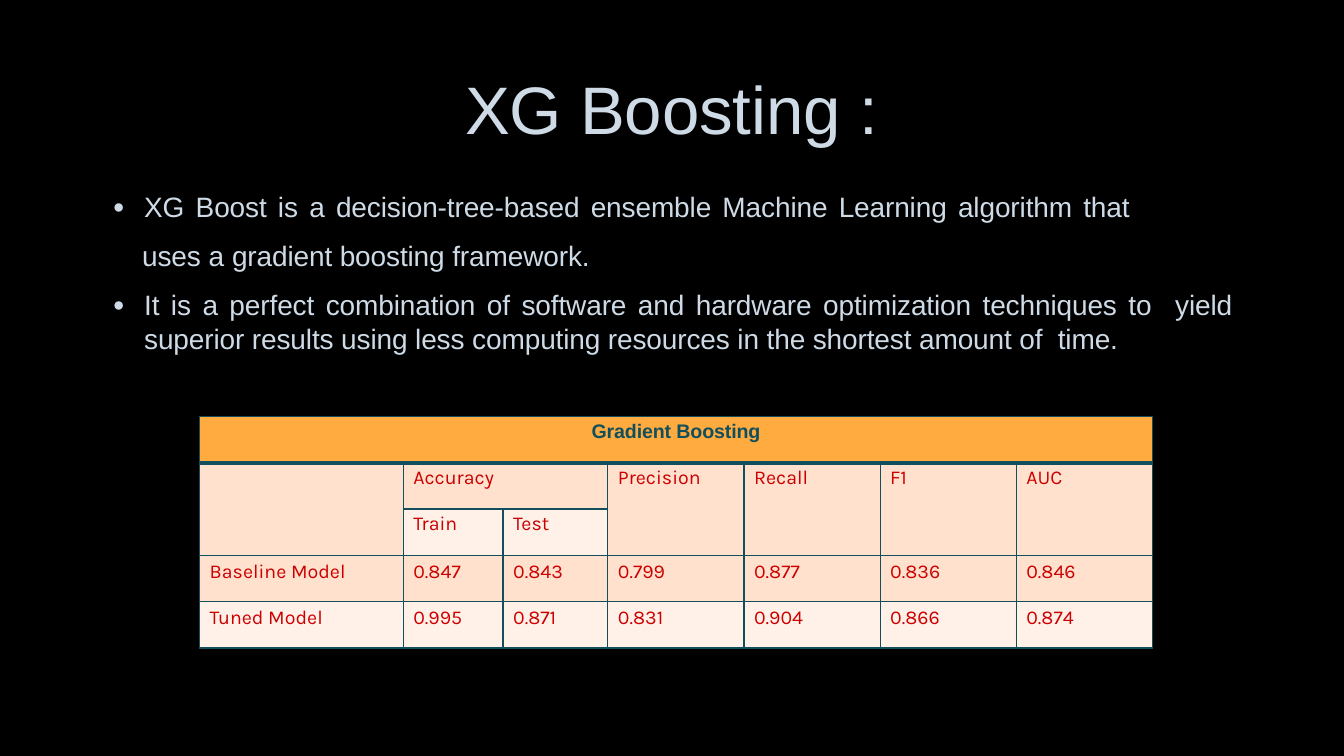
from dataclasses import dataclass

from lxml.etree import SubElement
from pptx import Presentation
from pptx.dml.color import RGBColor as RGB
from pptx.enum.text import MSO_ANCHOR as ANCHOR, PP_ALIGN as ALIGN
from pptx.oxml import parse_xml
from pptx.oxml.ns import nsdecls, qn
from pptx.util import Inches, Pt


@dataclass(frozen=True)
class Theme:
    """Colours, fonts and type sizes of the slide."""
    background: str = "000000"
    text: str = "CEDBE6"
    border: str = "124F5C"
    header: str = "FFAB40"
    band: str = "FFE1CE"
    light: str = "FFF0E8"
    value: str = "CC0000"
    sans: str = "Arial"
    table_font: str = "Karla"
    title_size: int = 48
    body_size: int = 20
    table_size: int = 14


THEME = Theme()
TIGHT = -0.1
WIDE = 2.4

LEAD = "XG Boost is a decision-tree-based ensemble Machine Learning algorithm that"
BULLETS = [
    (True, [part for word in LEAD.split() for part in ((" ", WIDE), (word, TIGHT))][1:]),
    (False, [("uses ", TIGHT), ("a ", 0), ("gradient boosting framework.", TIGHT)]),
    (True, [("It is a perfect combination of software and hardware optimization techniques ", TIGHT),
            ("to  ", 0),
            ("yield superior results using less computing resources in the shortest amount of  time.",
             TIGHT)]),
]
COLUMNS = [2.02, 0.99, 1.04] + [1.35] * 4
ROWS = [
    ["Gradient Boosting"] + [""] * 6,
    ["", "Accuracy", "", "Precision", "Recall", "F1", "AUC"],
    ["", "Train", "Test", "", "", "", ""],
    ["Baseline Model", "0.847", "0.843", "0.799", "0.877", "0.836", "0.846"],
    ["Tuned Model", "0.995", "0.871", "0.831", "0.904", "0.866", "0.874"],
]
ROW_FILLS = [THEME.header, THEME.band, THEME.light, THEME.band, THEME.light]
MERGES = [((0, 0), (0, 6)), ((1, 1), (1, 2))] + [((1, c), (2, c)) for c in (0, 3, 4, 5, 6)]


def place(sp, box):
    """Move a shape to a box given in inches."""
    sp.left, sp.top, sp.width, sp.height = map(Inches, box)


def add_run(p, text, size, color, font=THEME.sans, bold=False, spacing=0):
    """Append a formatted run to a paragraph."""
    r = p.add_run()
    r.text = text
    r.font.size, r.font.name, r.font.bold = Pt(size), font, bold
    r.font.color.rgb = RGB.from_string(color)
    r._r.get_or_add_rPr().set("spc", str(round(spacing * 100)))


def set_bullet(p, shown):
    """Set the indent and the round bullet of a paragraph."""
    pPr = p._p.get_or_add_pPr()
    pPr.set("marL", str(Inches(0.33 if shown else 0.31)))
    pPr.set("indent", str(Inches(-0.31 if shown else 0)))
    if not shown:
        SubElement(pPr, qn("a:buNone"))
        return
    color = SubElement(pPr, qn("a:buClr"))
    SubElement(color, qn("a:srgbClr"), val=THEME.text)
    SubElement(pPr, qn("a:buSzPct"), val="70000")
    SubElement(pPr, qn("a:buFont"), typeface=THEME.sans)
    SubElement(pPr, qn("a:buChar"), char="●")


def set_borders(cell, top, bottom):
    """Draw the four borders of a cell, with top and bottom widths in points."""
    tcPr = cell._tc.get_or_add_tcPr()
    for i, (side, width) in enumerate([("L", 1), ("R", 1), ("T", top), ("B", bottom)]):
        tcPr.insert(i, parse_xml(
            f'<a:ln{side} {nsdecls("a")} w="{Pt(width)}"><a:solidFill>'
            f'<a:srgbClr val="{THEME.border}"/></a:solidFill></a:ln{side}>'))


def fill_title(s, box):
    """Place and fill the title."""
    sp = s.shapes.title
    place(sp, box)
    tf = sp.text_frame
    tf.vertical_anchor = ANCHOR.MIDDLE
    p = tf.paragraphs[0]
    p.alignment, p.line_spacing = ALIGN.CENTER, 0.9
    for text, spacing in [("XG Boosting ", TIGHT), (":", 0)]:
        add_run(p, text, THEME.title_size, THEME.text, spacing=spacing)


def fill_body(s, box):
    """Place and fill the bullet list."""
    sp = s.placeholders[1]
    place(sp, box)
    tf = sp.text_frame
    tf.vertical_anchor, tf.word_wrap = ANCHOR.TOP, True
    for i, (bulleted, runs) in enumerate(BULLETS):
        p = tf.add_paragraph() if i else tf.paragraphs[0]
        set_bullet(p, bulleted)
        p.alignment = ALIGN.JUSTIFY
        p.space_before, p.space_after = Pt(5 if i else 0), Pt(6)
        for text, spacing in runs:
            add_run(p, text, THEME.body_size, THEME.text, spacing=spacing)


def add_scores(s, box):
    """Add the table of model scores."""
    frame = s.shapes.add_table(len(ROWS), len(COLUMNS), *map(Inches, box))
    table = frame.table
    table.first_row = table.horz_banding = False
    for column, width in zip(table.columns, COLUMNS):
        column.width = Inches(width)
    for row in table.rows:
        row.height = Inches(box[3] / len(ROWS))
    for start, end in MERGES:
        table.cell(*start).merge(table.cell(*end))
    for r, (texts, fill) in enumerate(zip(ROWS, ROW_FILLS)):
        for c, text in enumerate(texts):
            cell = table.cell(r, c)
            cell.fill.solid()
            cell.fill.fore_color.rgb = RGB.from_string(fill)
            if cell.is_spanned:
                continue
            set_borders(cell, 3 if r == 1 else 1, 3 if r == 0 else 1)
            cell.margin_left = Inches(0.1 if r else 0)
            cell.margin_right = cell.margin_bottom = 0
            cell.margin_top = Inches(0.05 if r > 2 else 0.04)
            p = cell.text_frame.paragraphs[0]
            if r == 0:
                p.alignment = ALIGN.CENTER
                add_run(p, text, THEME.table_size, THEME.border, bold=True, spacing=TIGHT)
            elif text:
                add_run(p, text, THEME.table_size, THEME.value, THEME.table_font)


def main():
    """Build the slide and save it."""
    prs = Presentation()
    prs.slide_width, prs.slide_height = Inches(13.33), Inches(7.5)
    s = prs.slides.add_slide(prs.slide_layouts[1])
    s.background.fill.solid()
    s.background.fill.fore_color.rgb = RGB.from_string(THEME.background)
    fill_title(s, (1, 0.67, 11.32, 0.9))
    fill_body(s, (1, 1.83, 11.32, 2.03))
    add_scores(s, (1.98, 4.13, 9.45, 2.3))
    prs.save("out.pptx")


if __name__ == "__main__":
    main()
